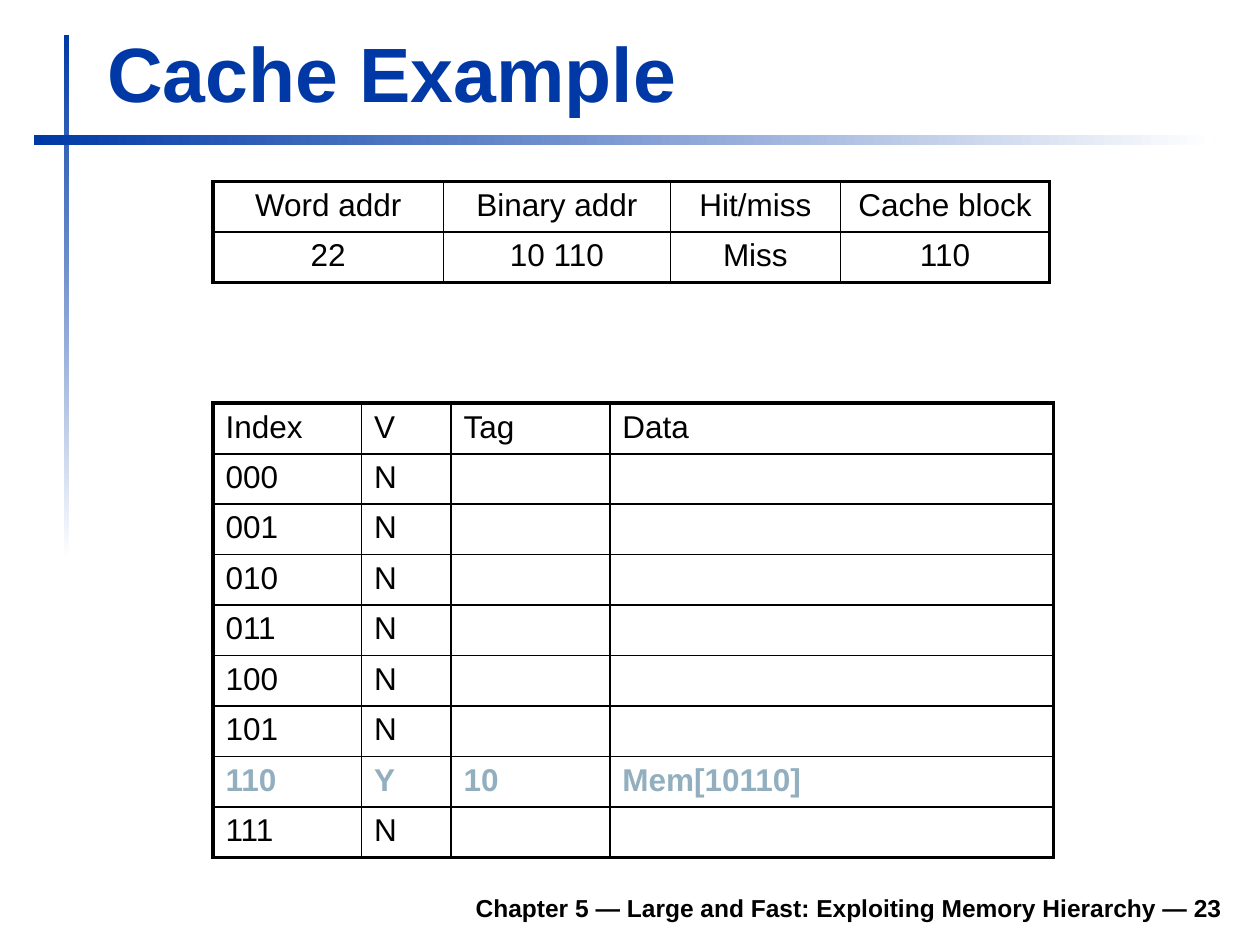
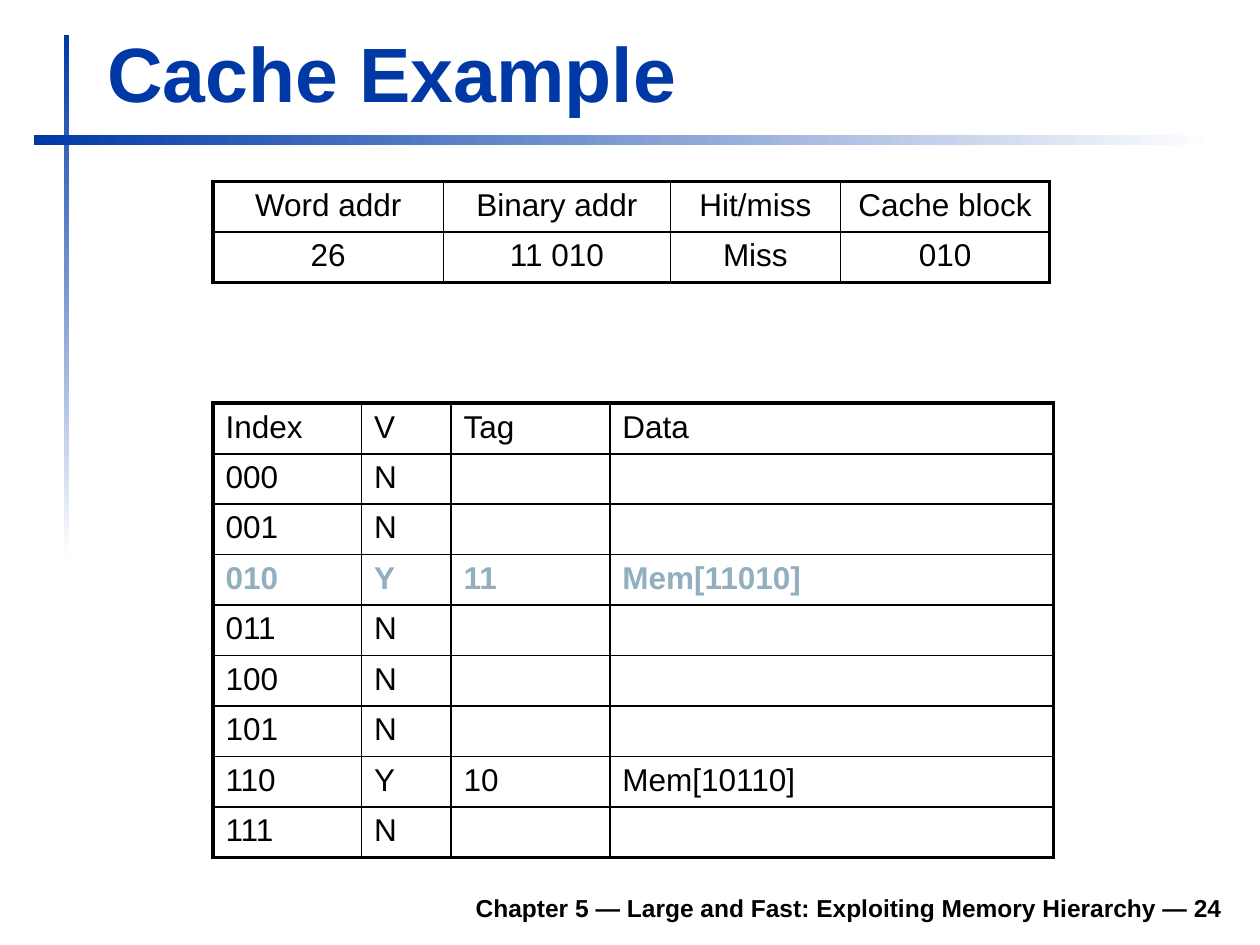
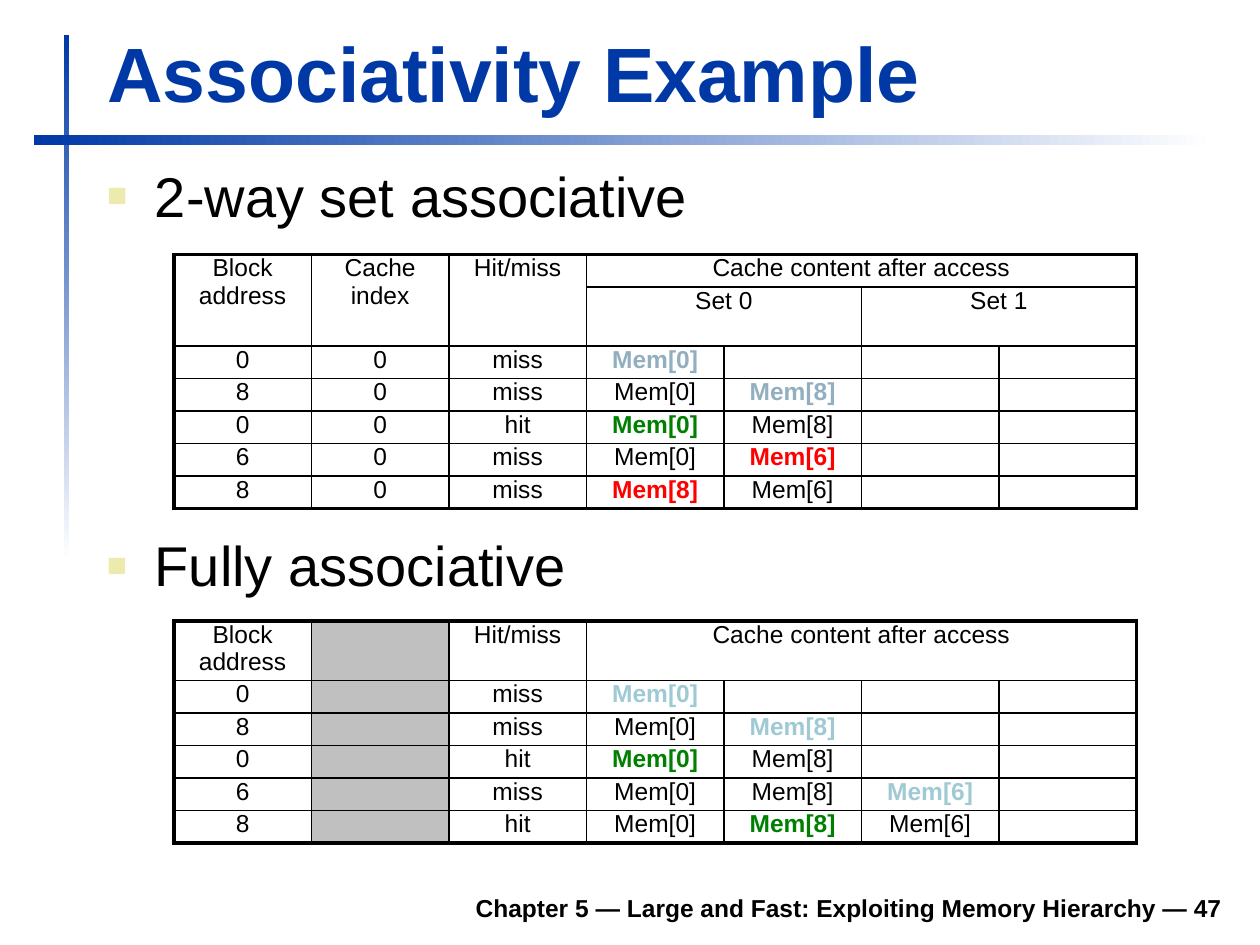
from dataclasses import dataclass

from lxml import etree
from pptx import Presentation
from pptx.dml.color import RGBColor
from pptx.enum.shapes import MSO_SHAPE
from pptx.enum.text import MSO_ANCHOR, MSO_AUTO_SIZE, PP_ALIGN
from pptx.oxml.ns import qn
from pptx.util import Inches, Pt

RECTANGLE = MSO_SHAPE.RECTANGLE
BOTTOM = MSO_ANCHOR.BOTTOM
GROW, FIXED = MSO_AUTO_SIZE.SHAPE_TO_FIT_TEXT, MSO_AUTO_SIZE.NONE
LEFT, CENTER, RIGHT = PP_ALIGN.LEFT, PP_ALIGN.CENTER, PP_ALIGN.RIGHT
TITLE_AND_BODY, TITLE_ONLY = 1, 5


@dataclass(frozen=True)
class Theme:
    font: str = "Arial"
    blue: str = "0039A6"
    white: str = "FFFFFF"
    black: str = "000000"
    bullet: str = "ECEAAC"
    slate: str = "91AFBF"
    aqua: str = "9FCAD3"
    green: str = "008000"
    red: str = "FF0000"
    unused: str = "C0C0C0"
    title_size: int = 44
    bullet_size: int = 32
    cache_size: int = 18
    small_size: int = 14
    thin: float = 1
    medium: float = 1.5
    thick: float = 2.25


THEME = Theme()
CHAPTER = "Chapter 5 — Large and Fast: Exploiting Memory Hierarchy"
BLOCK_HEADS = ["Block address", "Cache index", "Hit/miss", "Cache content after access"]


# Shared formatting
def apply_format(target, **values):
    for name, value in values.items():
        setattr(target, name, value)


def place(shape, box):
    sides = ("left", "top", "width", "height")
    apply_format(shape, **{side: Inches(length) for side, length in zip(sides, box)})


def write(paragraph, text, size, color=THEME.black, bold=False):
    run = paragraph.add_run()
    run.text = text
    apply_format(run.font, name=THEME.font, size=Pt(size), bold=bold)
    run.font.color.rgb = RGBColor.from_string(color)


def add_xml(parent, tag, **attributes):
    return etree.SubElement(parent, qn(tag), attributes)


def space_before(paragraph):
    properties = paragraph._p.get_or_add_pPr()
    add_xml(add_xml(properties, "a:spcBef"), "a:spcPct", val="20000")
    return properties


# Bands on the slide master
def add_bands(prs, slide):
    master = prs.slide_master.shapes.element
    bands = [((0.51, 0.28, 0.04, 4.17), 270), ((0.27, 1.07, 9.37, 0.08), 0)]
    for number, (box, angle) in enumerate(bands, start=101):
        band = slide.shapes.add_shape(RECTANGLE, *map(Inches, box))
        band.shadow.inherit = False
        band.line.fill.background()
        band.fill.gradient()
        band.fill.gradient_angle = angle
        for stop, color in zip(band.fill.gradient_stops, (THEME.blue, THEME.white)):
            stop.color.rgb = RGBColor.from_string(color)
        band.element.nvSpPr.cNvPr.set("id", str(number))
        master.append(band.element)


# Title and footer
def start_slide(prs, layout, heading, page):
    slide = prs.slides.add_slide(prs.slide_layouts[layout])
    title = slide.shapes.title
    place(title, (0.75, 0.16, 9.03, 0.83))
    apply_format(title.text_frame, vertical_anchor=BOTTOM, word_wrap=True, auto_size=GROW)
    paragraph = title.text_frame.paragraphs[0]
    paragraph.alignment = LEFT
    write(paragraph, heading, THEME.title_size, THEME.blue, True)

    footer = slide.shapes.add_textbox(*map(Inches, (1.85, 6.98, 7.95, 0.39)))
    apply_format(footer.text_frame, vertical_anchor=BOTTOM, word_wrap=True)
    paragraph = footer.text_frame.paragraphs[0]
    paragraph.alignment = RIGHT
    write(paragraph, f"{CHAPTER} — {page}", THEME.small_size, bold=True)
    return slide


# Bulleted heading
def fill_bullet(shape, text, line_spacing=None):
    apply_format(shape.text_frame, word_wrap=True, auto_size=FIXED)
    paragraph = shape.text_frame.paragraphs[0]
    apply_format(paragraph, alignment=LEFT, line_spacing=line_spacing)
    properties = space_before(paragraph)
    indent = Inches(0.38)
    properties.set("marL", str(indent))
    properties.set("indent", str(-indent))
    add_xml(add_xml(properties, "a:buClr"), "a:srgbClr", val=THEME.bullet)
    add_xml(properties, "a:buSzPct", val="60000")
    add_xml(properties, "a:buFont", typeface=THEME.font)
    add_xml(properties, "a:buChar", char="■")
    write(paragraph, text, THEME.bullet_size)


# Tables
def set_borders(cell, widths):
    properties = cell._tc.get_or_add_tcPr()
    for side, width in zip("LRTB", widths):
        line = add_xml(properties, f"a:ln{side}", w=str(Pt(width)))
        add_xml(add_xml(line, "a:solidFill"), "a:srgbClr", val=THEME.black)


def add_grid(slide, box, columns, heights, rows, size, align=CENTER, inset=0.0,
             header_line=THEME.thin, merges=(), accents=None, gray_column=None):
    """Draw rows of text; accents maps (row, column) to a bold colour."""
    accents = accents or {}
    table = slide.shapes.add_table(len(heights), len(columns), *map(Inches, box)).table
    apply_format(table, first_row=False, horz_banding=False)
    for column, width in zip(table.columns, columns):
        column.width = Inches(width)
    for row, height in zip(table.rows, heights):
        row.height = Inches(height)
    for first, last in merges:
        table.cell(*first).merge(table.cell(*last))

    def row_line(edge):
        if edge in (0, len(heights)):
            return THEME.thick
        return header_line if edge == 1 else THEME.thin

    def column_line(edge):
        return THEME.thick if edge in (0, len(columns)) else THEME.thin

    for r in range(len(heights)):
        for c in range(len(columns)):
            cell = table.cell(r, c)
            wide, high = (cell.span_width, cell.span_height) if cell.is_merge_origin else (1, 1)
            set_borders(cell, (column_line(c), column_line(c + wide),
                               row_line(r), row_line(r + high)))
            if c == gray_column:
                cell.fill.solid()
                cell.fill.fore_color.rgb = RGBColor.from_string(THEME.unused)
            else:
                cell.fill.background()
            apply_format(cell, margin_left=Inches(0.1), margin_right=Inches(0.1),
                         margin_top=Inches(inset), margin_bottom=Inches(inset))
            paragraph = cell.text_frame.paragraphs[0]
            paragraph.alignment = align
            space_before(paragraph)
            text = rows[r][c] if c < len(rows[r]) else ""
            if text:
                accent = accents.get((r, c))
                write(paragraph, text, size, accent or THEME.black, accent is not None)
            else:
                add_xml(paragraph._p, "a:endParaRPr", sz=str(size * 100))


# Direct-mapped cache: state after the last of the accesses
def add_cache_slide(prs, page, accesses):
    slide = start_slide(prs, TITLE_ONLY, "Cache Example", page)
    blocks = {f"{word:05b}"[2:]: f"{word:05b}"[:2] for word in accesses}
    word = accesses[-1]
    tag, index = f"{word:05b}"[:2], f"{word:05b}"[2:]

    state = [["Index", "V", "Tag", "Data"]]
    for slot in (f"{number:03b}" for number in range(8)):
        held = blocks.get(slot)
        state.append([slot, "Y", held, f"Mem[{held}{slot}]"] if held else [slot, "N"])
    changed_row = int(index, 2) + 1
    shared = dict(size=THEME.cache_size, inset=0.05, header_line=THEME.medium)
    add_grid(slide, (1.69, 3.2, 6.67, 3.6), [1.18, 0.71, 1.26, 3.52], [0.4] * 9, state,
             align=LEFT, accents={(changed_row, c): THEME.slate for c in range(4)}, **shared)

    access = [["Word addr", "Binary addr", "Hit/miss", "Cache block"],
              [str(word), f"{tag} {index}", "Miss", index]]
    add_grid(slide, (1.69, 1.44, 6.64, 0.8), [1.83, 1.8, 1.35, 1.66], [0.4] * 2, access, **shared)
    return slide


# Set-associative and fully associative caches
def add_associativity_slide(prs, page):
    slide = start_slide(prs, TITLE_AND_BODY, "Associativity Example", page)
    left, width = 1.38, 7.64
    columns = [width / 7] * 7

    body = slide.placeholders[1]
    place(body, (0.75, 1.23, 9.05, 0.79))
    fill_bullet(body, "2-way set associative")
    two_way = [
        BLOCK_HEADS,
        ["", "", "", "Set 0", "", "Set 1"],
        ["0", "0", "miss", "Mem[0]"],
        ["8", "0", "miss", "Mem[0]", "Mem[8]"],
        ["0", "0", "hit", "Mem[0]", "Mem[8]"],
        ["6", "0", "miss", "Mem[0]", "Mem[6]"],
        ["8", "0", "miss", "Mem[8]", "Mem[6]"],
    ]
    merges = [((0, c), (1, c)) for c in range(3)]
    merges += [((0, 3), (0, 6)), ((1, 3), (1, 4)), ((1, 5), (1, 6))]
    add_grid(slide, (left, 2.02, width, 1.81), columns, [1.81 / 7] * 7, two_way,
             THEME.small_size, merges=merges,
             accents={(2, 3): THEME.slate, (3, 4): THEME.slate, (4, 3): THEME.green,
                      (5, 4): THEME.red, (6, 3): THEME.red})

    fully_heading = slide.shapes.add_textbox(*map(Inches, (0.75, 4.22, 8.5, 0.63)))
    fill_bullet(fully_heading, "Fully associative", 0.9)
    fully = [
        [BLOCK_HEADS[0], "", *BLOCK_HEADS[2:]],
        ["0", "", "miss", "Mem[0]"],
        ["8", "", "miss", "Mem[0]", "Mem[8]"],
        ["0", "", "hit", "Mem[0]", "Mem[8]"],
        ["6", "", "miss", "Mem[0]", "Mem[8]", "Mem[6]"],
        ["8", "", "hit", "Mem[0]", "Mem[8]", "Mem[6]"],
    ]
    add_grid(slide, (left, 4.93, width, 1.76), columns, [0.47] + [1.29 / 5] * 5, fully,
             THEME.small_size, merges=[((0, 3), (0, 6))], gray_column=1,
             accents={(1, 3): THEME.aqua, (2, 4): THEME.aqua, (3, 3): THEME.green,
                      (4, 5): THEME.aqua, (5, 4): THEME.green})


def main():
    prs = Presentation()
    apply_format(prs, slide_width=Inches(10), slide_height=Inches(7.5))
    first = add_cache_slide(prs, 23, [22])
    add_bands(prs, first)
    add_cache_slide(prs, 24, [22, 26])
    add_associativity_slide(prs, 47)
    prs.save("out.pptx")


if __name__ == "__main__":
    main()
